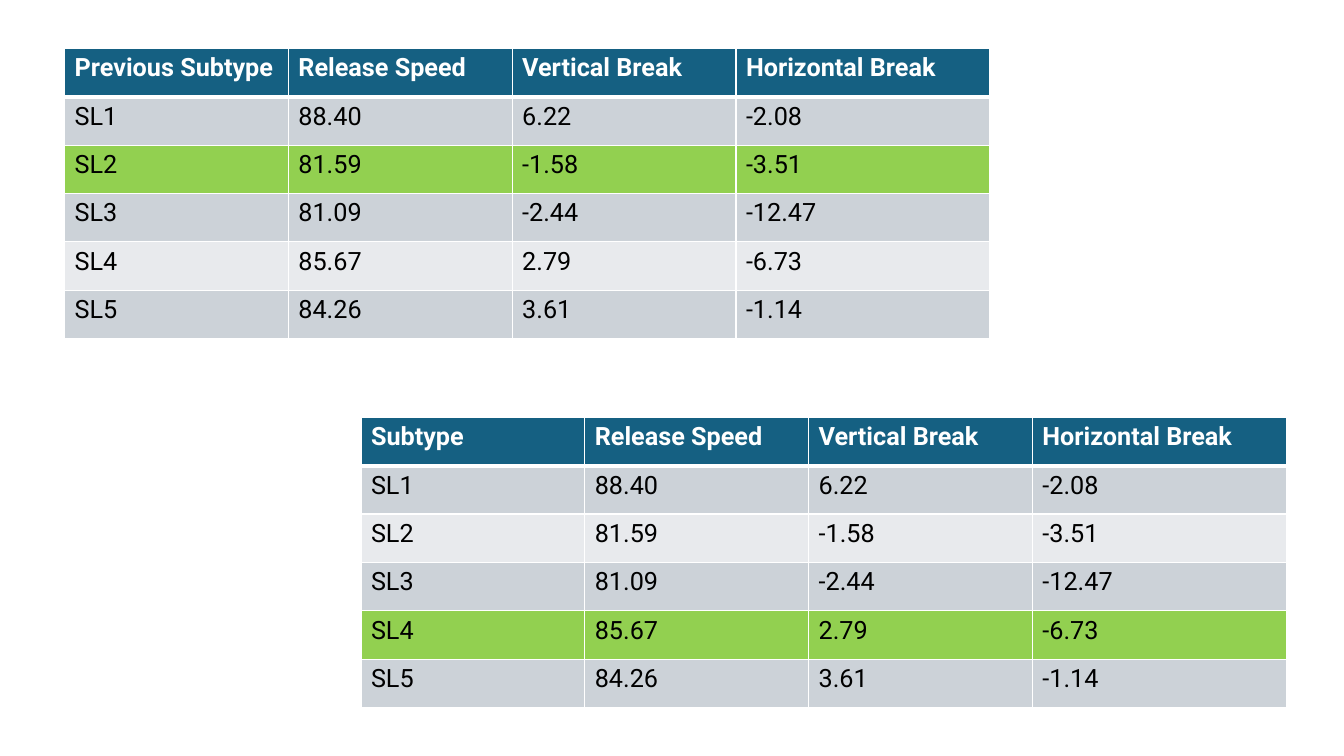
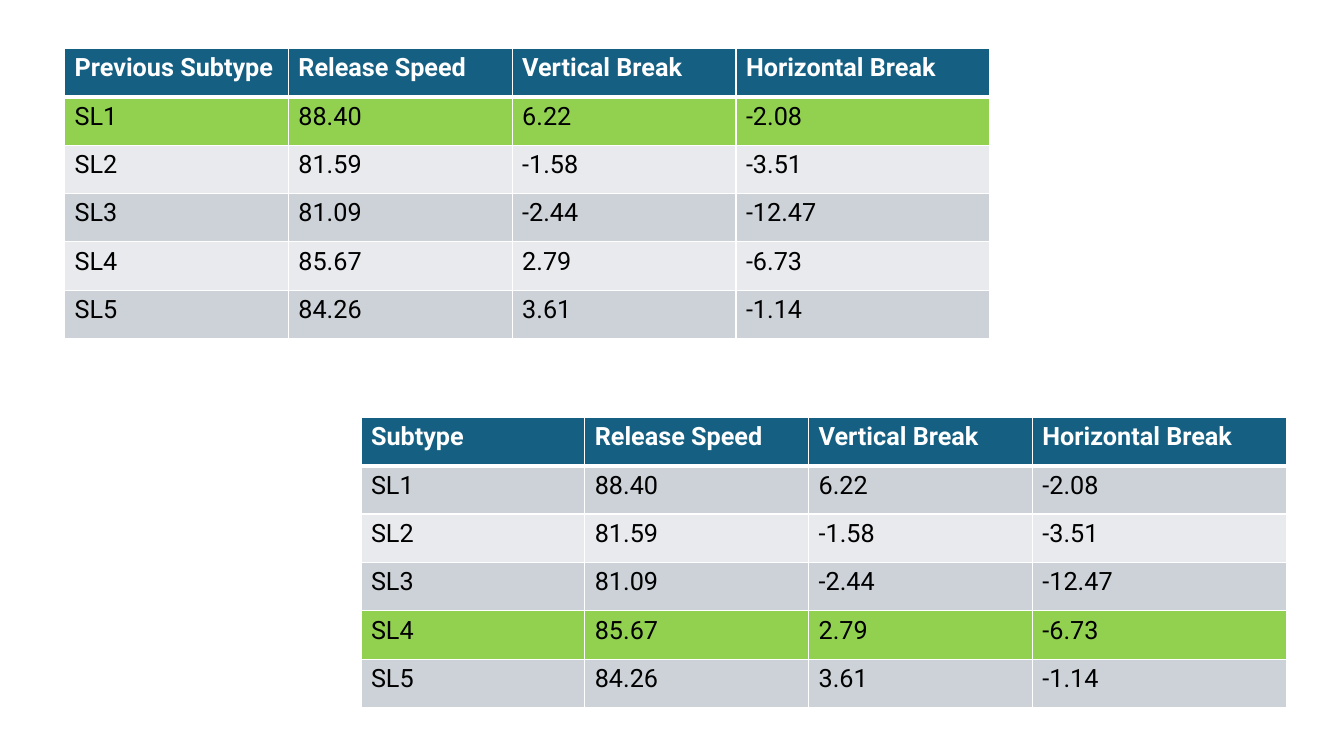
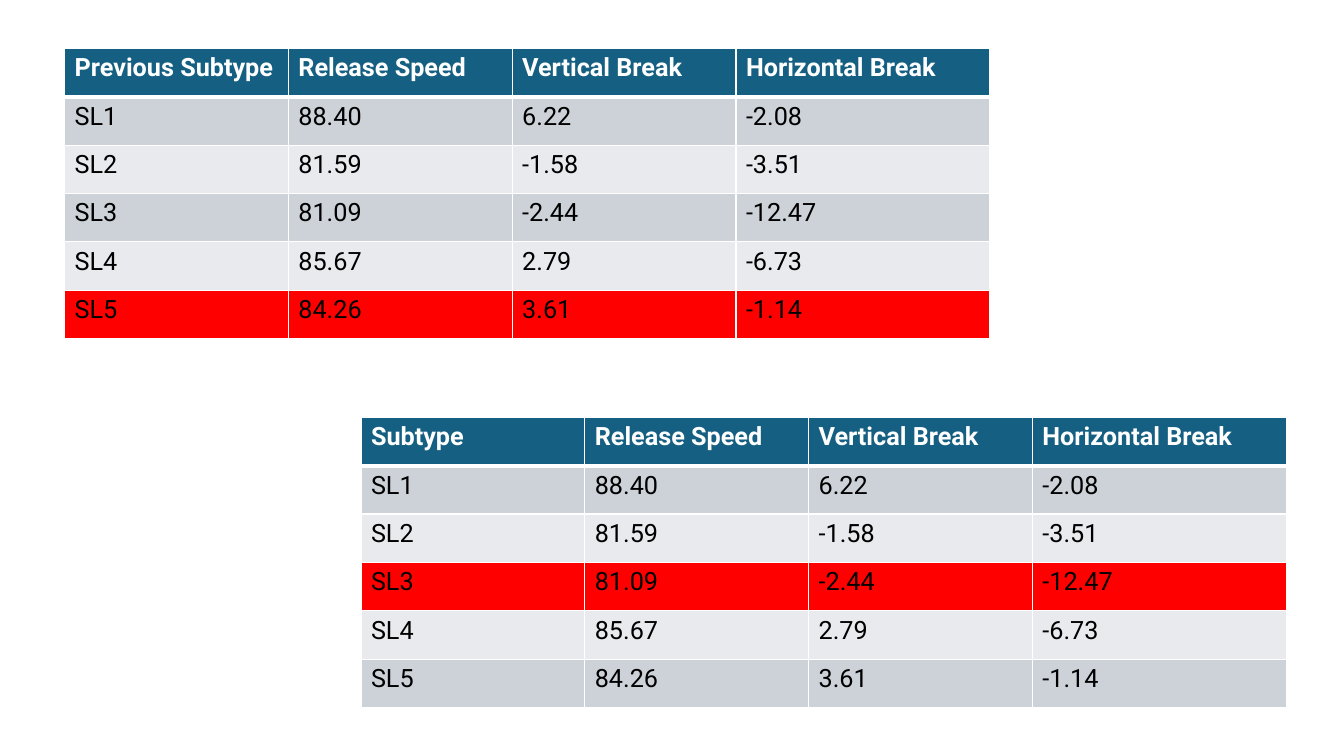
from dataclasses import dataclass

import lxml.etree
import pptx
import pptx.dml.color
import pptx.oxml.ns
import pptx.slide
import pptx.table
import pptx.util

Inches = pptx.util.Inches
BLANK_LAYOUT = 6


@dataclass(frozen=True)
class Theme:
    font: str = "Roboto"
    text_size: float = 18
    header_fill: str = "156082"
    header_text: str = "FFFFFF"
    body_text: str = "000000"
    bands: tuple[str, str] = ("CCD2D8", "E8EAED")
    match: str = "92D050"
    mismatch: str = "FF0000"
    border: str = "FFFFFF"
    thin_border: float = 1
    thick_border: float = 3


@dataclass(frozen=True)
class TablePlace:
    first_header: str
    left: float
    top: float


@dataclass(frozen=True)
class Comparison:
    """The subtypes highlighted in the upper and lower tables of one slide."""
    previous: str
    current: str
    highlight: str


THEME = Theme()
COLUMN_WIDTHS = (2.22, 2.22, 2.22, 2.52)
ROW_HEIGHT = 0.48
MEASURES = ("Release Speed", "Vertical Break", "Horizontal Break")
PITCHES = (
    ("SL1", "88.40", "6.22", "-2.08"),
    ("SL2", "81.59", "-1.58", "-3.51"),
    ("SL3", "81.09", "-2.44", "-12.47"),
    ("SL4", "85.67", "2.79", "-6.73"),
    ("SL5", "84.26", "3.61", "-1.14"),
)
PREVIOUS_TABLE = TablePlace("Previous Subtype", 0.64, 0.48)
CURRENT_TABLE = TablePlace("Subtype", 3.58, 4.14)
COMPARISONS = (
    Comparison("SL2", "SL4", THEME.match),
    Comparison("SL1", "SL4", THEME.match),
    Comparison("SL5", "SL3", THEME.mismatch),
)


def rgb(value: str) -> pptx.dml.color.RGBColor:
    return pptx.dml.color.RGBColor.from_string(value)


def set_borders(cell: pptx.table._Cell, top: float, bottom: float) -> None:
    """Draw all four cell edges; call before filling, as the XML order requires."""
    qn = pptx.oxml.ns.qn
    properties = cell._tc.get_or_add_tcPr()
    widths = {"L": THEME.thin_border, "R": THEME.thin_border, "T": top, "B": bottom}
    for side, width in widths.items():
        line = lxml.etree.SubElement(
            properties, qn(f"a:ln{side}"), w=str(pptx.util.Pt(width))
        )
        fill = lxml.etree.SubElement(line, qn("a:solidFill"))
        lxml.etree.SubElement(fill, qn("a:srgbClr"), val=THEME.border)


def format_cell(cell: pptx.table._Cell, text: str, row: int, fill: str) -> None:
    is_header = row == 0
    set_borders(
        cell,
        top=THEME.thick_border if row == 1 else THEME.thin_border,
        bottom=THEME.thick_border if is_header else THEME.thin_border,
    )
    cell.fill.solid()
    cell.fill.fore_color.rgb = rgb(fill)
    cell.text_frame.text = text
    font = cell.text_frame.paragraphs[0].runs[0].font
    font.name = THEME.font
    font.size = pptx.util.Pt(THEME.text_size)
    font.bold = is_header
    font.color.rgb = rgb(THEME.header_text if is_header else THEME.body_text)


def row_fill(row: int, subtype: str, marked: str, highlight: str) -> str:
    if row == 0:
        return THEME.header_fill
    return highlight if subtype == marked else THEME.bands[(row - 1) % 2]


def add_pitch_table(
    slide: pptx.slide.Slide, place: TablePlace, marked: str, highlight: str
) -> None:
    rows = ((place.first_header, *MEASURES), *PITCHES)
    table = slide.shapes.add_table(
        len(rows),
        len(COLUMN_WIDTHS),
        Inches(place.left),
        Inches(place.top),
        Inches(sum(COLUMN_WIDTHS)),
        Inches(ROW_HEIGHT * len(rows)),
    ).table
    for column, width in zip(table.columns, COLUMN_WIDTHS):
        column.width = Inches(width)
    for row, texts in enumerate(rows):
        table.rows[row].height = Inches(ROW_HEIGHT)
        fill = row_fill(row, texts[0], marked, highlight)
        for column, text in enumerate(texts):
            format_cell(table.cell(row, column), text, row, fill)


def main() -> None:
    deck = pptx.Presentation()
    deck.slide_width = Inches(13.33)
    deck.slide_height = Inches(7.5)
    for comparison in COMPARISONS:
        slide = deck.slides.add_slide(deck.slide_layouts[BLANK_LAYOUT])
        add_pitch_table(
            slide, PREVIOUS_TABLE, comparison.previous, comparison.highlight
        )
        add_pitch_table(slide, CURRENT_TABLE, comparison.current, comparison.highlight)
    deck.save("out.pptx")


if __name__ == "__main__":
    main()
